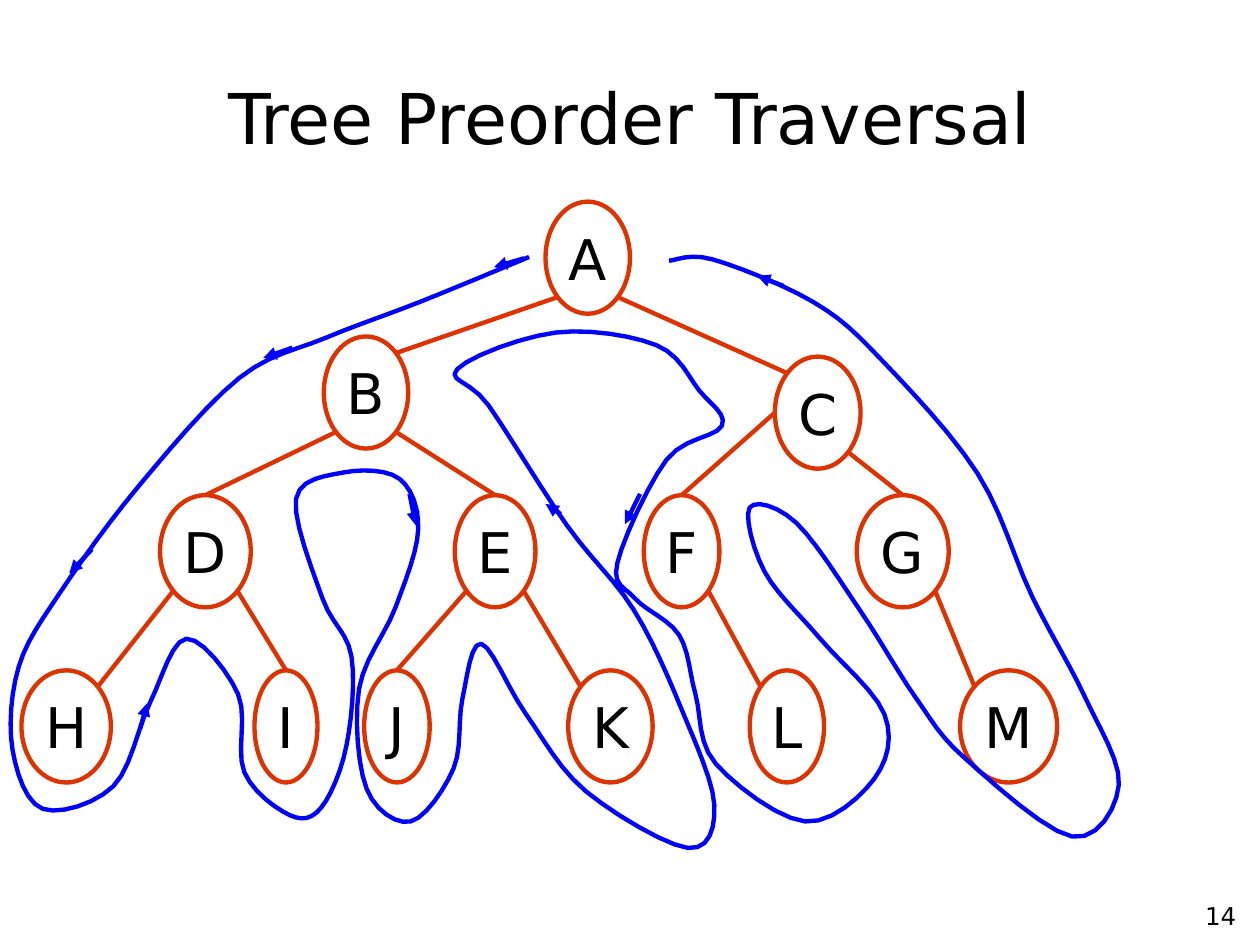
import pptx
import pptx.util
import pptx.dml.color
import pptx.enum.shapes
import pptx.enum.text
import pptx.oxml.ns
import lxml.etree

Inches, Pt = pptx.util.Inches, pptx.util.Pt
RGB = pptx.dml.color.RGBColor
PP_ALIGN = pptx.enum.text.PP_ALIGN
MIDDLE = pptx.enum.text.MSO_ANCHOR.MIDDLE
STRAIGHT = pptx.enum.shapes.MSO_CONNECTOR.STRAIGHT
OVAL = pptx.enum.shapes.MSO_SHAPE.OVAL
BLACK = RGB(0x00, 0x00, 0x00)
RED = RGB(0xDD, 0x33, 0x00)
BLUE = RGB(0x00, 0x00, 0xFF)
NODE_H = 0.89
DIAG = 0.35  # share of the size from an oval's centre to its diagonal sites
STEPS = 6


def put_text(shape, text, size, align):
    frame = shape.text_frame
    frame.text = text
    frame.vertical_anchor = MIDDLE
    para = frame.paragraphs[0]
    para.alignment = align
    font = para.runs[0].font
    font.name, font.size = "DejaVu Sans", Pt(size)
    font.color.rgb = BLACK


def add_line(start, end, color):
    line = slide.shapes.add_connector(
        STRAIGHT, *[Inches(v) for v in (*start, *end)])
    line.line.color.rgb = color
    line.line.width = Pt(2.5)
    props = line.element.spPr
    lxml.etree.SubElement(props, pptx.oxml.ns.qn("a:effectLst"))
    return line


prs = pptx.Presentation()
prs.slide_width, prs.slide_height = Inches(10), Inches(7.5)
slide = prs.slides.add_slide(prs.slide_layouts[5])

title = slide.shapes.title
title.left, title.top = Inches(0.5), Inches(0.3)
title.width, title.height = Inches(9), Inches(1.25)
put_text(title, "Tree Preorder Traversal", 40, PP_ALIGN.CENTER)

number = slide.shapes.add_textbox(
    Inches(7.83), Inches(7.08), Inches(2.08), Inches(0.37))
number.text_frame.word_wrap = True
put_text(number, "14", 14, PP_ALIGN.RIGHT)

# Rows of the tree: top, then left and width of each node
rows = [
    (1.6, {"A": (4.33, 0.67)}),
    (2.67, {"B": (2.57, 0.67)}),
    (2.83, {"C": (6.15, 0.68)}),
    (3.93, {"D": (1.27, 0.72), "E": (3.61, 0.64),
            "F": (5.11, 0.6), "G": (6.8, 0.73)}),
    (5.32, {"H": (0.17, 0.71), "I": (2.02, 0.5), "J": (2.89, 0.52),
            "K": (4.51, 0.67), "L": (5.95, 0.59), "M": (7.62, 0.77)}),
]
nodes, ovals = {}, {}
for top, row in rows:
    for name, (left, width) in row.items():
        oval = slide.shapes.add_shape(
            OVAL, Inches(left), Inches(top), Inches(width), Inches(NODE_H))
        oval.shadow.inherit = False
        oval.fill.background()
        oval.line.color.rgb = RED
        oval.line.width = Pt(2.5)
        oval.text_frame.word_wrap = False
        put_text(oval, name, 32, PP_ALIGN.CENTER)
        nodes[name], ovals[name] = (left, top, width), oval

# Edges: parent, its site, child, its site
sites = {"top": (0, -0.5), "left": (-0.5, 0), "NW": (-DIAG, -DIAG),
         "NE": (DIAG, -DIAG), "SW": (-DIAG, DIAG), "SE": (DIAG, DIAG)}
edges = """A SW B NE, A SE C NW, B SW D top, B SE E top, C left F top, C SE G top,
D SW H NE, D SE I top, E SW J top, E SE K NW, F SE L NW, G SE M NW"""
for edge in edges.split(","):
    parent, out, child, into = edge.split()
    ends = []
    for name, site in ((parent, out), (child, into)):
        left, top, width = nodes[name]
        dx, dy = sites[site]
        ends.append((left + width * (0.5 + dx), top + NODE_H * (0.5 + dy)))
    line = add_line(*ends, RED)
    if into == "top":
        line.end_connect(ovals[child], 0)

# The walk around the tree, as points that a smooth curve runs through
walk = [
    (4.2, 2.04), (3.35, 2.39), (2.59, 2.68), (1.9, 3), (1.1, 3.86),
    (0.48, 4.7), (0.15, 5.29), (0.1, 5.95), (0.34, 6.42), (0.9, 6.24),
    (1.19, 5.58), (1.48, 5.07), (1.89, 5.51), (1.94, 6.13), (2.3, 6.47),
    (2.55, 6.41), (2.75, 5.92), (2.79, 5.21), (2.56, 4.75), (2.35, 3.96),
    (2.73, 3.75), (3.17, 3.8), (3.32, 4.2), (3.14, 4.82), (2.85, 5.47),
    (2.91, 6.26), (3.26, 6.52), (3.6, 6.1), (3.67, 5.55), (3.82, 5.11),
    (4.17, 5.66), (4.65, 6.28), (5.46, 6.73), (5.67, 6.39), (5.41, 5.63),
    (5.03, 4.84), (4.5, 4.17), (3.88, 3.22), (3.63, 2.93), (4.41, 2.64),
    (5.21, 2.74), (5.55, 3.1), (5.73, 3.38), (5.29, 3.65), (4.9, 4.47),
    (5.04, 4.75), (5.39, 5.04), (5.52, 5.51), (5.68, 6.06), (6.39, 6.52),
    (6.94, 6.18), (7.02, 5.67), (6.51, 5.07), (6.07, 4.54), (5.95, 4.03),
    (6.32, 4.15), (6.83, 4.85), (7.27, 5.54), (7.66, 6.02), (8.51, 6.64),
    (8.88, 6.23), (8.61, 5.53), (8.19, 4.73), (7.76, 3.76), (7, 2.86),
    (6.46, 2.4), (5.66, 2.06), (5.31, 2.07),
]
curve = []
padded = [walk[0], *walk, walk[-1]]
for quad in zip(padded, padded[1:], padded[2:], padded[3:]):
    for step in range(1, STEPS + 1):
        t = step / STEPS
        # Catmull-Rom weights
        weights = (-t + 2 * t**2 - t**3, 2 - 5 * t**2 + 3 * t**3,
                   t + 4 * t**2 - 3 * t**3, t**3 - t**2)
        curve.append([Inches(sum(w * p[axis] for w, p in zip(weights, quad)) / 2)
                      for axis in (0, 1)])
pen = slide.shapes.build_freeform(Inches(walk[0][0]), Inches(walk[0][1]))
pen.add_line_segments(curve, close=False)
trail = pen.convert_to_shape()
trail.shadow.inherit = False
trail.fill.background()
trail.line.color.rgb = BLUE
trail.line.width = Pt(2.5)

arrows = [
    ((4.16, 2.05), (3.92, 2.12)), ((2.32, 2.76), (2.09, 2.84)),
    ((0.73, 4.36), (0.55, 4.55)), ((1.11, 5.79), (1.17, 5.58)),
    ((3.25, 3.92), (3.3, 4.17)), ((4.45, 4.08), (4.33, 4)),
    ((5.08, 3.92), (4.96, 4.16)), ((6.22, 2.27), (6.01, 2.19)),
]
for start, end in arrows:
    arrow = add_line(start, end, BLUE)
    outline = arrow.element.spPr.find(pptx.oxml.ns.qn("a:ln"))
    lxml.etree.SubElement(outline, pptx.oxml.ns.qn("a:tailEnd"), type="triangle")

prs.save("out.pptx")
